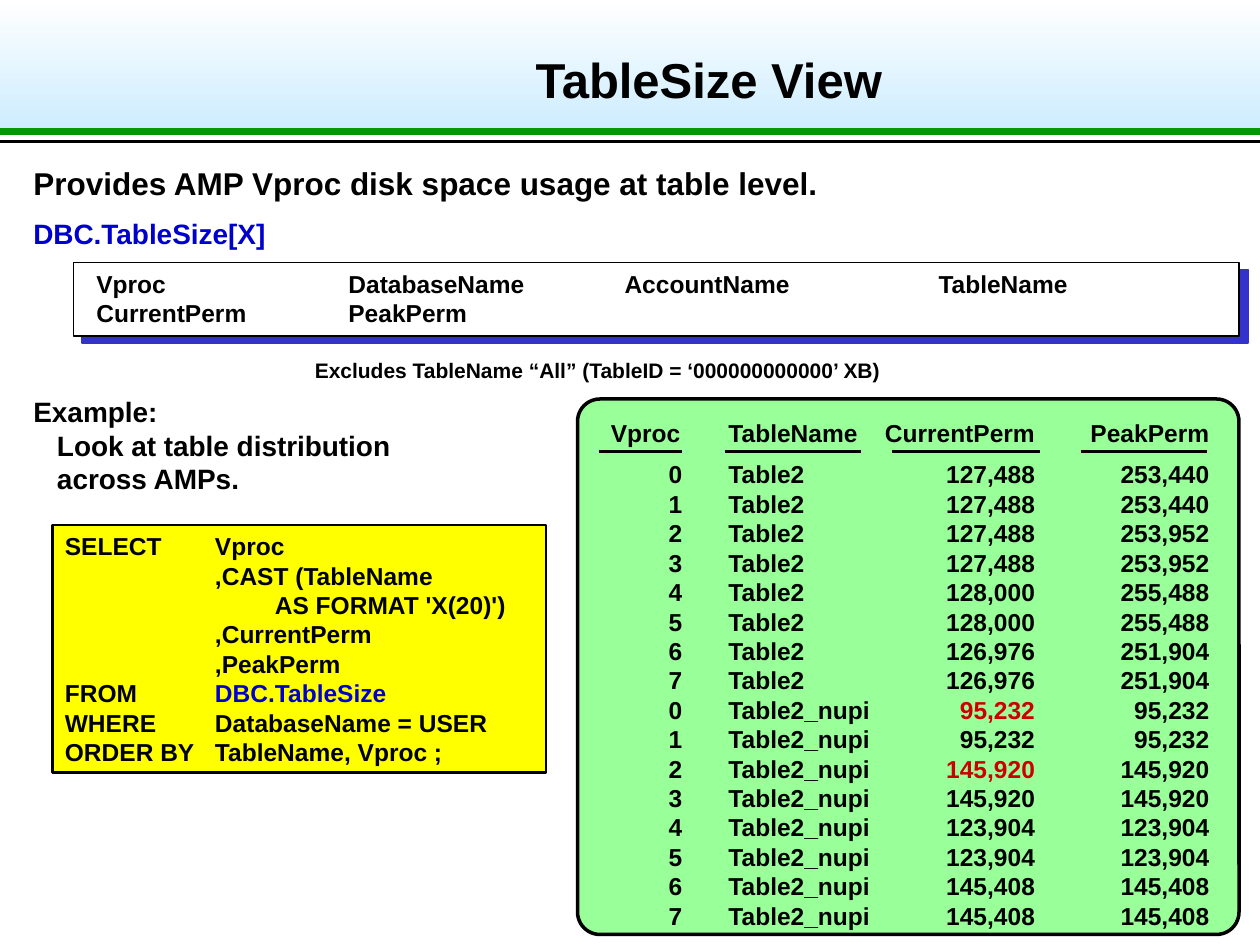
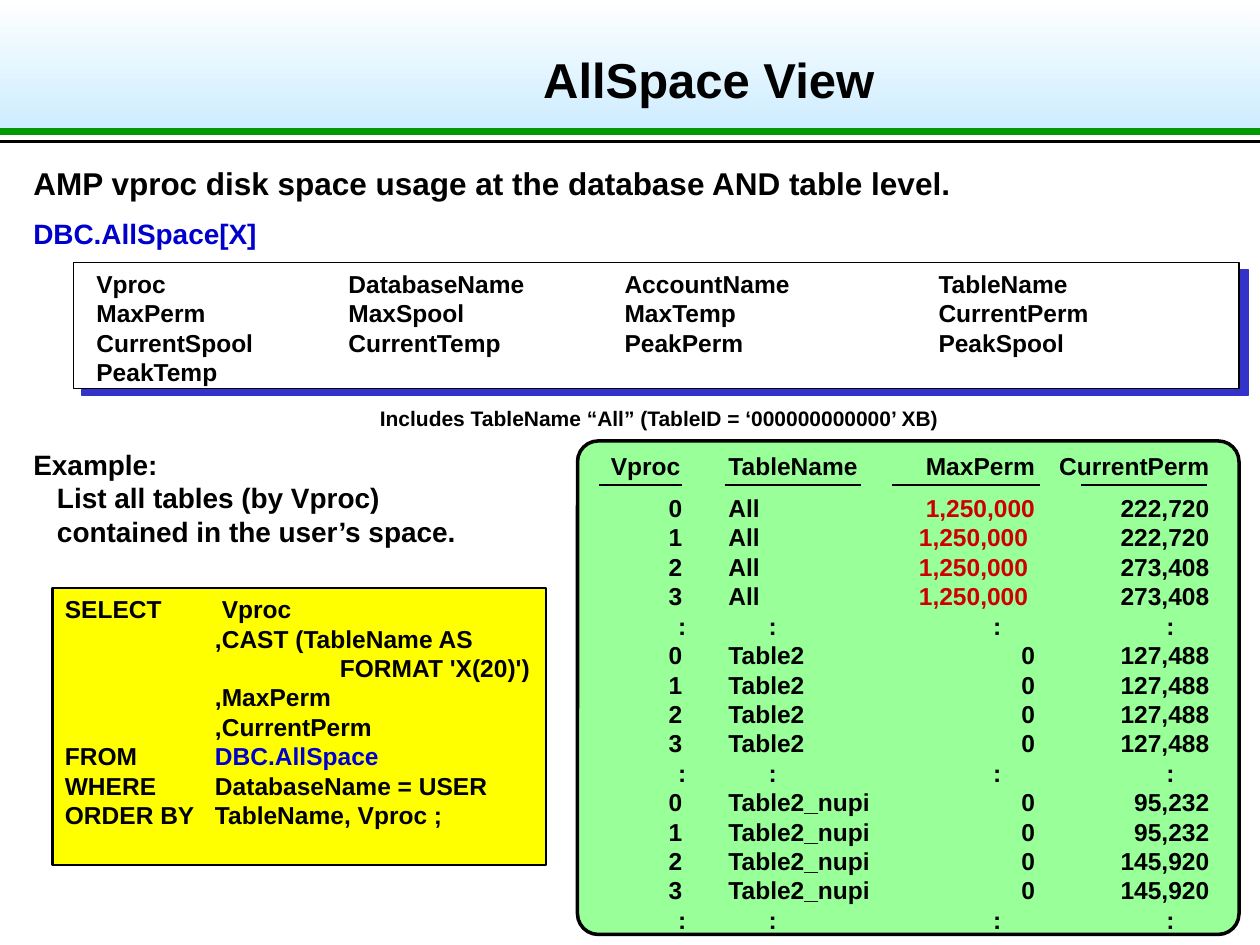
from dataclasses import dataclass
from typing import NamedTuple

import pptx
import pptx.dml.color
import pptx.enum.shapes
import pptx.enum.text
import pptx.oxml
import pptx.oxml.ns
import pptx.util
from lxml import etree

RGBColor = pptx.dml.color.RGBColor
PRESET = pptx.enum.shapes.MSO_SHAPE
ALIGN = pptx.enum.text.PP_ALIGN
ANCHOR = pptx.enum.text.MSO_ANCHOR

# Colours
BLACK = RGBColor(0x00, 0x00, 0x00)
WHITE = RGBColor(0xFF, 0xFF, 0xFF)
SKY = RGBColor(0xCC, 0xEC, 0xFF)
GREEN_RULE = RGBColor(0x00, 0x99, 0x00)
MINT = RGBColor(0x99, 0xFF, 0x99)
YELLOW = RGBColor(0xFF, 0xFF, 0x00)
VIEW_BLUE = RGBColor(0x00, 0x00, 0xCC)
SHADOW_BLUE = RGBColor(0x33, 0x33, 0xCC)
ALERT_RED = RGBColor(0xCC, 0x00, 0x00)

# Grid of 120 columns by 90 rows over a 10 by 7.5 inch slide
WIDTH, HEIGHT = pptx.util.Inches(10), pptx.util.Inches(7.5)
COLUMNS = 120
CELL = WIDTH // COLUMNS

FONT = "Arial"
LINE_HEIGHT = 1.2
FRAME_FORMAT = {
    "word_wrap": True,
    "margin_left": pptx.util.Inches(0.1),
    "margin_right": pptx.util.Inches(0.1),
    "margin_top": pptx.util.Inches(0.05),
    "margin_bottom": pptx.util.Inches(0.05),
}

# Tab stops and indents, in columns
FIELD_TABS = ((24, "l"), (50.3, "l"), (80.2, "l"))
RESULT_TABS = ((6.8, "r"), (11.2, "l"), (40.4, "r"), (57, "r"))
ELLIPSIS_TABS = ((6.8, "ctr"), (15.4, "ctr"), (36.8, "ctr"), (53.3, "ctr"))
HEADING_RULES = ((57, 65), (69, 82), (85, 99), (103, 115))
CLAUSE_INDENT = 14.3
EXAMPLE_INDENT = 2.25


class Box(NamedTuple):
    """Left, top, width and height in grid cells."""
    left: float
    top: float
    width: float
    height: float


class Run(NamedTuple):
    text: str
    color: RGBColor = BLACK


@dataclass(frozen=True)
class Line:
    runs: tuple[Run, ...]
    margin: float = 0
    hanging: float = 0
    before: float = 0
    tabs: tuple[tuple[float, str], ...] = ()
    align: ALIGN = ALIGN.LEFT


class ResultRow(NamedTuple):
    vproc: int
    table: str
    first: str
    second: str
    alert: bool = False


@dataclass(frozen=True)
class ViewSlide:
    title: str
    summary: str
    view: str
    fields: tuple[str, ...]
    fields_height: float
    note: str
    note_at: tuple[float, float]
    example: str
    example_box: Box
    query: tuple[Line, ...]
    query_box: Box
    headings: tuple[str, str]
    results: tuple[ResultRow | None, ...]  # None marks skipped rows
    results_top: float
    results_text_top: float
    rule_row: float


def cells(count: float) -> int:
    return round(count * CELL)


def plain(text: str, color: RGBColor = BLACK, **layout) -> Line:
    return Line((Run(text, color),), **layout)


def clause(keyword: str, text: str, color: RGBColor = BLACK) -> Line:
    return Line((Run(f"{keyword}\t"), Run(text, color)), CLAUSE_INDENT, CLAUSE_INDENT)


def continued(text: str, margin: float = CLAUSE_INDENT) -> Line:
    return plain(text, margin=margin)


# Drawing
def write(frame, lines: list[Line], size: float) -> None:
    for name, value in FRAME_FORMAT.items():
        setattr(frame, name, value)
    for number, line in enumerate(lines):
        paragraph = frame.add_paragraph() if number else frame.paragraphs[0]
        paragraph_format = {
            "alignment": line.align,
            "line_spacing": pptx.util.Pt(size * LINE_HEIGHT),
            "space_before": pptx.util.Pt(line.before),
        }
        for name, value in paragraph_format.items():
            setattr(paragraph, name, value)
        for text, color in line.runs:
            run = paragraph.add_run()
            run.text = text
            run_format = {"name": FONT, "size": pptx.util.Pt(size), "bold": True}
            for name, value in run_format.items():
                setattr(run.font, name, value)
            run.font.color.rgb = color
        properties = paragraph._p.get_or_add_pPr()
        if line.margin:  # an explicit indent would override the tab stops
            properties.set("marL", str(cells(line.margin)))
            properties.set("indent", str(-cells(line.hanging)))
        if line.tabs:
            stops = etree.SubElement(properties, pptx.oxml.ns.qn("a:tabLst"))
            for column, kind in line.tabs:
                etree.SubElement(stops, pptx.oxml.ns.qn("a:tab"),
                                 pos=str(cells(column)), algn=kind)


def add_text(slide, box: Box, lines: list[Line], size: float):
    frame = slide.shapes.add_textbox(*map(cells, box)).text_frame
    write(frame, lines, size)
    return frame


def add_panel(slide, box: Box, fill: RGBColor, line_width: float,
              preset: PRESET = PRESET.RECTANGLE):
    panel = slide.shapes.add_shape(preset, *map(cells, box))
    panel.shadow.inherit = False
    panel.fill.solid()
    panel.fill.fore_color.rgb = fill
    panel.line.color.rgb = BLACK
    panel.line.width = pptx.util.Pt(line_width)
    return panel


def add_rule(slide, start: float, end: float, row: float,
             color: RGBColor, width: float) -> None:
    rule = slide.shapes.add_connector(
        pptx.enum.shapes.MSO_CONNECTOR.STRAIGHT,
        cells(start), cells(row), cells(end), cells(row))
    rule.line.color.rgb = color
    rule.line.width = pptx.util.Pt(width)
    etree.SubElement(rule._element.spPr, pptx.oxml.ns.qn("a:effectLst"))


def add_hard_shadow(panel) -> None:
    effects = panel._element.spPr.find(pptx.oxml.ns.qn("a:effectLst"))
    shadow = etree.SubElement(effects, pptx.oxml.ns.qn("a:outerShdw"),
                              dist=str(pptx.util.Pt(6.4)), dir=str(39 * 60000),
                              algn="ctr", rotWithShape="0")
    etree.SubElement(shadow, pptx.oxml.ns.qn("a:srgbClr"), val=str(SHADOW_BLUE))


def add_header(slide, title: str) -> None:
    band = slide.shapes.add_shape(PRESET.RECTANGLE, 0, 0, WIDTH, cells(12.6))
    band.shadow.inherit = False
    band.line.fill.background()
    band.fill.gradient()
    band.fill.gradient_angle = 270
    for stop, color in zip(band.fill.gradient_stops, (WHITE, SKY)):
        stop.color.rgb = color
    add_rule(slide, 0, COLUMNS, 13.5, BLACK, 2)
    add_rule(slide, 0, COLUMNS, 12.5, GREEN_RULE, 4)
    heading = add_text(slide, Box(20, 2, 95, 11), [plain(title, align=ALIGN.CENTER)], 28)
    heading.vertical_anchor = ANCHOR.MIDDLE


def result_line(row: ResultRow | None, before: float) -> Line:
    if row is None:
        return plain("\t:" * len(ELLIPSIS_TABS), tabs=ELLIPSIS_TABS)
    runs = (Run(f"\t{row.vproc}\t{row.table}\t"),
            Run(row.first, ALERT_RED if row.alert else BLACK),
            Run(f"\t{row.second}"))
    return Line(runs, before=before, tabs=RESULT_TABS)


def add_results(slide, view: ViewSlide) -> None:
    bottom = 89
    panel = add_panel(slide, Box(55, view.results_top, 63, bottom - view.results_top),
                      MINT, 2, PRESET.ROUNDED_RECTANGLE)
    panel.adjustments[0] = 0.042
    lines = [plain("\t".join(("Vproc", "TableName", *view.headings)), tabs=RESULT_TABS[1:])]
    lines += [result_line(row, 0 if number else 7) for number, row in enumerate(view.results)]
    top = view.results_text_top
    add_text(slide, Box(57, top, 61, bottom - top), lines, 14)
    for start, end in HEADING_RULES:
        add_rule(slide, start, end, view.rule_row, BLACK, 1.5)


def build_slide(presentation, view: ViewSlide) -> None:
    slide = presentation.slides.add_slide(presentation.slide_layouts[6])
    add_header(slide, view.title)
    add_text(slide, Box(2, 15, 118, 5), [plain(view.summary)], 18)
    add_text(slide, Box(2, 20, 30, 4.4), [plain(view.view, VIEW_BLUE)], 16)

    # Fields of the view
    add_hard_shadow(add_panel(slide, Box(7, 25, 111, view.fields_height), WHITE, 1))
    add_text(slide, Box(8, 25, 110, view.fields_height),
             [plain(row, tabs=FIELD_TABS) for row in view.fields], 14)
    add_text(slide, Box(*view.note_at, 57, 3.6), [plain(view.note)], 12)

    # Example, query and its results
    add_text(slide, view.example_box,
             [plain("Example:"), plain(view.example, margin=EXAMPLE_INDENT)], 16)
    query = add_panel(slide, view.query_box, YELLOW, 1.5).text_frame
    query.vertical_anchor = ANCHOR.TOP
    write(query, list(view.query), 14)
    add_results(slide, view)


# Content
QUERY_END = (clause("WHERE", "DatabaseName = USER"),
             clause("ORDER BY", "TableName, Vproc ;"))

TABLE2 = (("127,488", "253,440"), ("127,488", "253,440"),
          ("127,488", "253,952"), ("127,488", "253,952"),
          ("128,000", "255,488"), ("128,000", "255,488"),
          ("126,976", "251,904"), ("126,976", "251,904"))
TABLE2_NUPI = ("95,232", "95,232", "145,920", "145,920",
               "123,904", "123,904", "145,408", "145,408")
ALL_MAX = ("1,250,000", "1,250,000 ", "1,250,000 ", "1,250,000 ")
ALL_CURRENT = ("222,720", "222,720", "273,408", "273,408")

TABLE_SIZE = ViewSlide(
    title="TableSize View",
    summary="Provides AMP Vproc disk space usage at table level.",
    view="DBC.TableSize[X]",
    fields=("Vproc\tDatabaseName\tAccountName\tTableName", "CurrentPerm\tPeakPerm"),
    fields_height=7,
    note="Excludes TableName “All” (TableID = ‘000000000000’ XB)",
    note_at=(28.8, 33.5),
    example="Look at table distribution across AMPs.",
    example_box=Box(2, 37, 38, 10.8),
    query=(clause("SELECT", "Vproc"), continued(",CAST (TableName"),
           continued("AS FORMAT 'X(20)')", 20), continued(",CurrentPerm"),
           continued(",PeakPerm"), clause("FROM", "DBC.TableSize", VIEW_BLUE), *QUERY_END),
    query_box=Box(5, 50, 47, 23.6),
    headings=("CurrentPerm", "PeakPerm"),
    results=(*(ResultRow(vproc, "Table2", *perms) for vproc, perms in enumerate(TABLE2)),
             *(ResultRow(vproc, "Table2_nupi", perm, perm, vproc in (0, 2))
               for vproc, perm in enumerate(TABLE2_NUPI))),
    results_top=38, results_text_top=39.2, rule_row=43,
)

ALL_SPACE = ViewSlide(
    title="AllSpace View",
    summary="AMP vproc disk space usage at the database AND table level.",
    view="DBC.AllSpace[X]",
    fields=("Vproc\tDatabaseName\tAccountName\tTableName",
            "MaxPerm\tMaxSpool\tMaxTemp\tCurrentPerm",
            "CurrentSpool\tCurrentTemp\tPeakPerm\tPeakSpool", "PeakTemp"),
    fields_height=12,
    note="Includes TableName “All” (TableID = ‘000000000000’ XB)",
    note_at=(35, 38),
    example="List all tables (by Vproc) contained in the user’s space.",
    example_box=Box(2, 42, 44, 10.8),
    query=(clause("SELECT", " Vproc"), continued(",CAST (TableName AS"),
           continued("FORMAT 'X(20)')", 26.2), continued(",MaxPerm"),
           continued(",CurrentPerm"), clause("FROM", "DBC.AllSpace", VIEW_BLUE), *QUERY_END),
    query_box=Box(5, 56, 47, 26.4),
    headings=("MaxPerm", "CurrentPerm"),
    results=(*(ResultRow(vproc, "All", *perms, True)
               for vproc, perms in enumerate(zip(ALL_MAX, ALL_CURRENT))), None,
             *(ResultRow(vproc, "Table2", "0", "127,488") for vproc in range(4)), None,
             *(ResultRow(vproc, "Table2_nupi", "0", perm)
               for vproc, perm in enumerate(TABLE2_NUPI[:4])), None),
    results_top=42, results_text_top=42.4, rule_row=46.2,
)


def main() -> None:
    presentation = pptx.Presentation()
    presentation.slide_width, presentation.slide_height = WIDTH, HEIGHT
    for view in (TABLE_SIZE, ALL_SPACE):
        build_slide(presentation, view)
    presentation.save("out.pptx")


if __name__ == "__main__":
    main()
